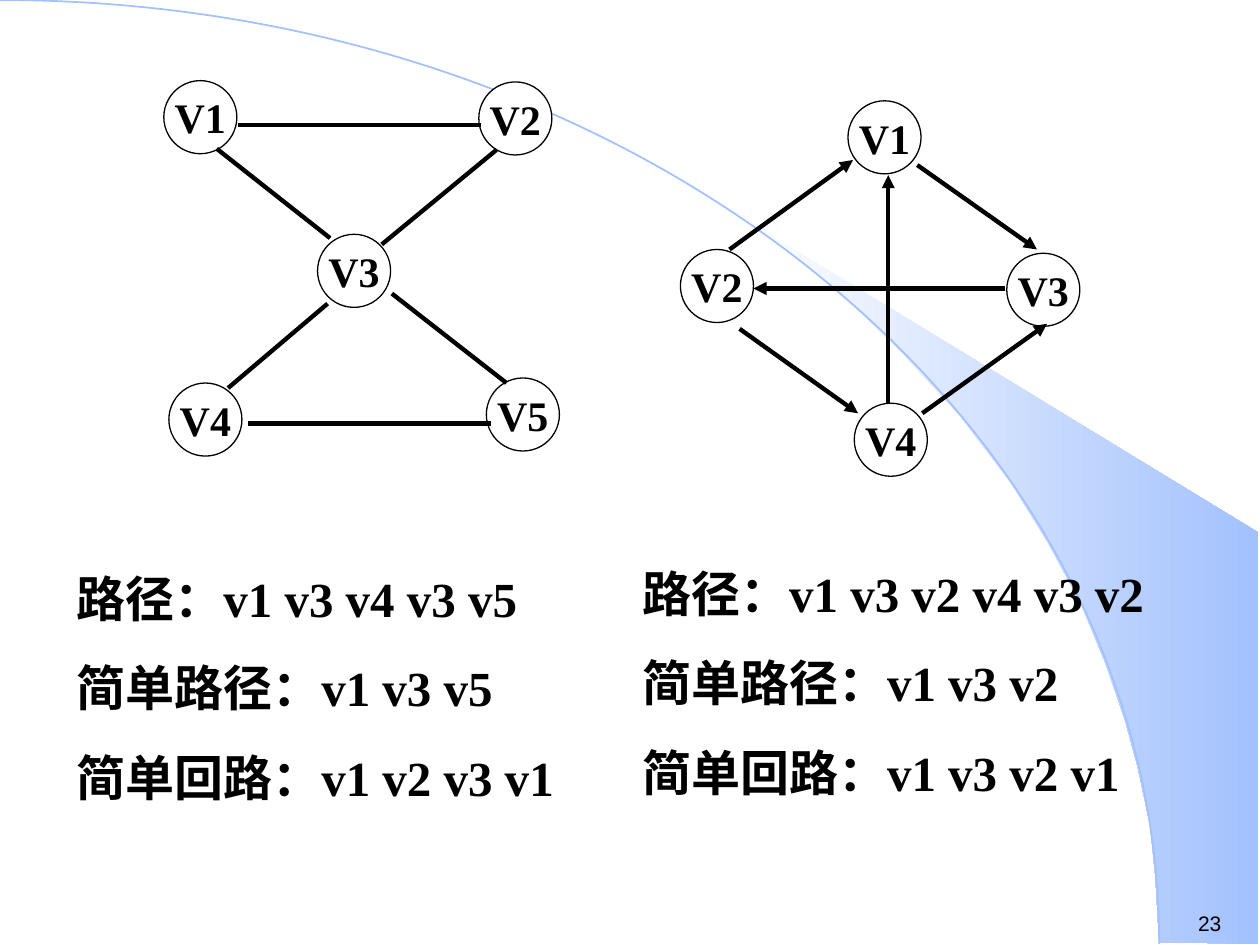
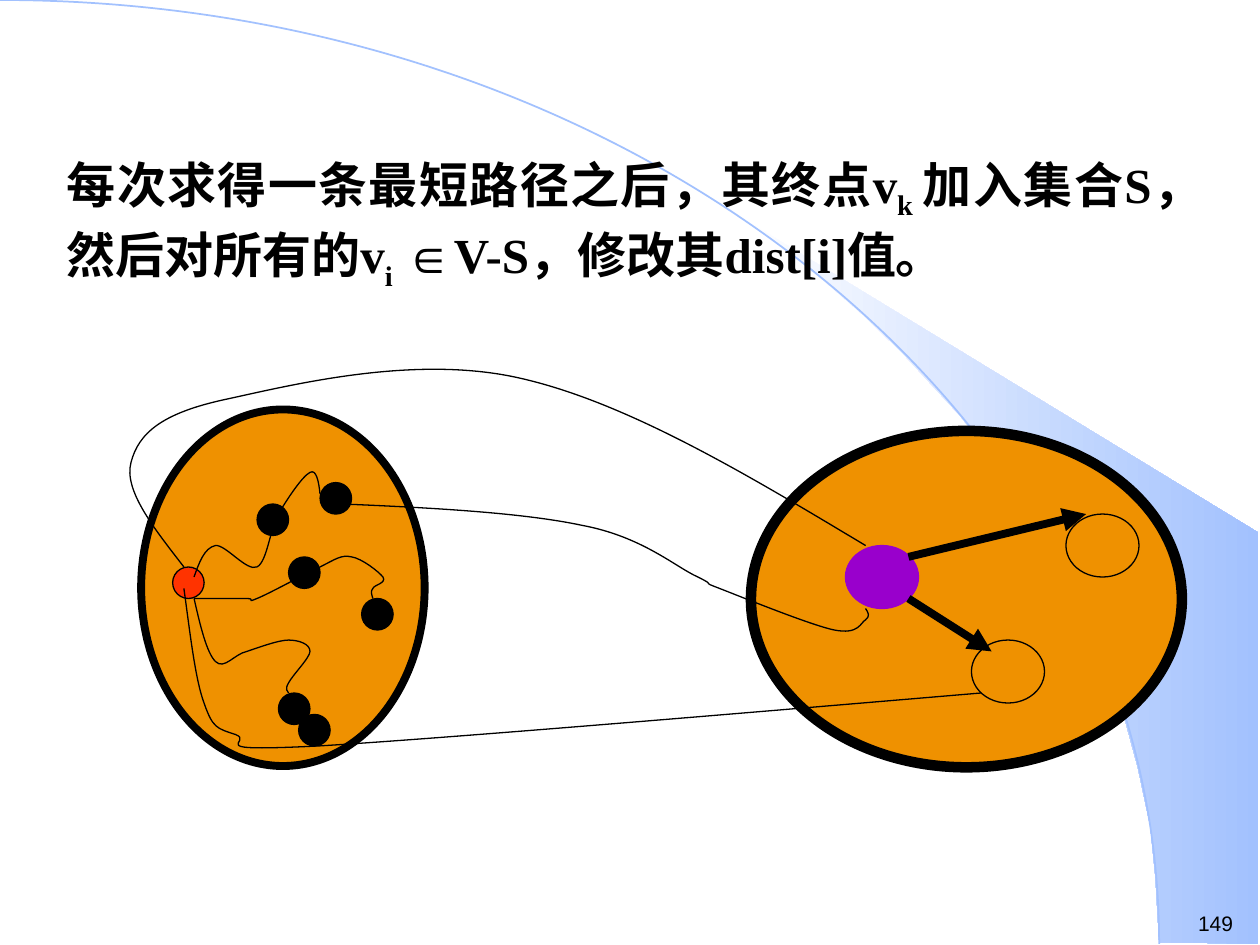
from dataclasses import dataclass

import pptx
import pptx.util
import pptx.dml.color
import pptx.enum.shapes
import pptx.enum.text
import pptx.oxml.ns

Inches = pptx.util.Inches
Pt = pptx.util.Pt
SHAPE = pptx.enum.shapes.MSO_SHAPE
ALIGN = pptx.enum.text.PP_ALIGN
ANCHOR = pptx.enum.text.MSO_ANCHOR
AUTO_SIZE = pptx.enum.text.MSO_AUTO_SIZE
qn = pptx.oxml.ns.qn


@dataclass(frozen=True)
class Theme:
    ink: str = "000000"
    paper: str = "FFFFFF"
    sky: str = "A2C1FE"
    region: str = "EF9100"
    source: str = "FF3300"
    added: str = "9900CC"
    serif: str = "Times New Roman"
    sans: str = "Arial"
    body_size: int = 28
    node_size: int = 24
    number_size: int = 12
    thin: float = 0.75
    edge: float = 2.5
    heavy: float = 4.5
    heaviest: float = 6


THEME = Theme()
NODE = 0.58
DOT = 0.25

SWOOSH = [(9.2, 7.48), (9.99, 7.49), (9.99, 4.23), (5.89, 1.73), (6.24, 1.99),
          (6.53, 2.22), (6.85, 2.5), (7.16, 2.8), (7.62, 3.3), (8.03, 3.84),
          (8.32, 4.31), (8.58, 4.79), (8.78, 5.28), (8.93, 5.72), (9.03, 6.09),
          (9.13, 6.56), (9.17, 6.96)]
ARC = [(0, 0), (5.08, 0), (9.2, 3.35), (9.2, 7.49)]

UNDIRECTED_NODES = [("V5", 3.86, 3), ("V4", 1.34, 3.04), ("V2", 3.8, 0.65),
                    ("V1", 1.3, 0.64), ("V3", 2.52, 1.86)]
UNDIRECTED_EDGES = [
    ((1.89, 0.99), (3.82, 0.99)), ((1.97, 3.36), (3.9, 3.36)),
    ((1.81, 3.08), (2.6, 2.41)), ((3.11, 2.33), (4.02, 3.04)),
    ((1.72, 1.18), (2.62, 1.89)), ((3.03, 1.94), (3.94, 1.19)),
]
DIRECTED_NODES = [("V1", 6.73, 0.8), ("V2", 5.4, 1.98),
                  ("V3", 7.99, 2.01), ("V4", 6.78, 3.2)]
DIRECTED_DIAGONALS = [((7.05, 3.2), (7.05, 1.39)), ((7.98, 2.29), (5.98, 2.29))]
DIRECTED_SIDES = [
    ((7.28, 1.31), (8.23, 1.98)), ((5.87, 2.61), (6.81, 3.28)),
    ((5.79, 1.98), (6.77, 1.27)), ((7.32, 3.28), (8.31, 2.57)),
]

SETTLED_VERTICES = [(2.87, 4.75), (2.21, 5.5), (2.54, 3.83),
                    (2.29, 4.42), (2.04, 4), (2.37, 5.67)]
SHORTEST_PATHS = [
    [(1.54, 4.58), (1.58, 4.47), (1.62, 4.35), (1.71, 4.33), (1.79, 4.32),
     (1.96, 4.54), (2.04, 4.5), (2.12, 4.46), (2.14, 4.21), (2.21, 4.08),
     (2.28, 3.96), (2.4, 3.78), (2.46, 3.75), (2.51, 3.72), (2.53, 3.82),
     (2.54, 3.92)],
    [(1.54, 4.75), (1.59, 4.97), (1.64, 5.18), (1.71, 5.25), (1.78, 5.32),
     (1.86, 5.19), (1.96, 5.17), (2.05, 5.14), (2.21, 5.08), (2.29, 5.08),
     (2.37, 5.08), (2.46, 5.11), (2.46, 5.17), (2.46, 5.22), (2.32, 5.36),
     (2.29, 5.42), (2.26, 5.47), (2.28, 5.49), (2.29, 5.5)],
    [(1.54, 4.75), (1.71, 4.75), (1.87, 4.75), (1.96, 4.75), (2.04, 4.75),
     (1.94, 4.79), (2.04, 4.75), (2.14, 4.71), (2.41, 4.56), (2.54, 4.5),
     (2.66, 4.44), (2.71, 4.4), (2.79, 4.42), (2.87, 4.43), (3.01, 4.54),
     (3.04, 4.58), (3.07, 4.63), (2.97, 4.64), (2.96, 4.67), (2.94, 4.69),
     (2.95, 4.72), (2.96, 4.75)],
    [(1.46, 4.5), (1.22, 4.19), (0.98, 3.89), (1.04, 3.67), (1.1, 3.44),
     (1.28, 3.28), (1.79, 3.17), (2.3, 3.06), (3.28, 2.81), (4.12, 3),
     (4.97, 3.19), (5.92, 3.76), (6.87, 4.33)],
    [(2.71, 4), (3.43, 4.03), (4.15, 4.07), (4.62, 4.17), (5.1, 4.26),
     (5.36, 4.5), (5.54, 4.58), (5.72, 4.67), (5.53, 4.6), (5.71, 4.67),
     (5.89, 4.74), (6.43, 4.96), (6.62, 5), (6.82, 5.04), (6.83, 4.94),
     (6.87, 4.92), (6.91, 4.89), (6.89, 4.86), (6.87, 4.83)],
    [(1.46, 4.67), (1.51, 5.03), (1.55, 5.39), (1.62, 5.58), (1.69, 5.78),
     (1.72, 5.78), (1.87, 5.83), (2.03, 5.89), (1.55, 5.97), (2.54, 5.92),
     (3.53, 5.86), (5.66, 5.68), (7.79, 5.5)],
]
RELAXATIONS = [((7.21, 4.42), (8.62, 4.08)), ((7.21, 4.75), (7.87, 5.17))]


def rgb(value):
    return pptx.dml.color.RGBColor.from_string(value)


def add_child(parent, tag, **attributes):
    child = parent.makeelement(qn(tag), attributes)
    parent.append(child)
    return child


def style_font(font, size, name=THEME.serif, bold=True):
    font.name, font.size, font.bold = name, Pt(size), bold
    font.color.rgb = rgb(THEME.ink)


def style_line(line, color, width):
    line.color.rgb = rgb(color)
    line.width = Pt(width)


def add_freeform(slide, points, closed=False):
    start, *rest = [(Inches(x), Inches(y)) for x, y in points]
    builder = slide.shapes.build_freeform(*start)
    builder.add_line_segments(rest, close=closed)
    outline = builder.convert_to_shape()
    outline.shadow.inherit = False
    return outline


def add_curve(slide, knots, color=THEME.ink, width=THEME.thin):
    curve = add_freeform(slide, knots)
    outline = next(curve.element.iter(qn("a:path")))
    segments = outline.findall(qn("a:lnTo"))
    for i in range(0, len(segments), 3):
        bezier = add_child(outline, "a:cubicBezTo")
        for segment in segments[i:i + 3]:
            bezier.append(segment[0])
            outline.remove(segment)
    curve.fill.background()
    style_line(curve.line, color, width)
    return curve


def add_edge(slide, start, end, width=THEME.edge, arrow=False):
    edge = slide.shapes.add_connector(
        pptx.enum.shapes.MSO_CONNECTOR.STRAIGHT,
        *(Inches(v) for v in start + end))
    style_line(edge.line, THEME.ink, width)
    properties = edge.element.spPr
    if arrow:
        add_child(properties.find(qn("a:ln")), "a:tailEnd", type="triangle")
    add_child(properties, "a:effectLst")
    return edge


def add_round(slide, box, fill, line=THEME.ink, width=THEME.thin, kind=SHAPE.OVAL):
    disc = slide.shapes.add_shape(kind, *(Inches(v) for v in box))
    disc.shadow.inherit = False
    disc.fill.solid()
    disc.fill.fore_color.rgb = rgb(fill)
    style_line(disc.line, line, width)
    return disc


def add_node(slide, label, left, top):
    node = add_round(slide, (left, top, NODE, NODE), THEME.paper,
                     kind=SHAPE.FLOWCHART_CONNECTOR)
    frame = node.text_frame
    frame.word_wrap = False
    frame.vertical_anchor = ANCHOR.MIDDLE
    paragraph = frame.paragraphs[0]
    paragraph.text = label
    paragraph.alignment = ALIGN.CENTER
    style_font(paragraph.font, THEME.node_size)
    return node


def add_text(slide, box, lines, size, name=THEME.serif, bold=True):
    frame = slide.shapes.add_textbox(*(Inches(v) for v in box)).text_frame
    frame.word_wrap = True
    frame.text = "\n".join(lines)
    for index, paragraph in enumerate(frame.paragraphs):
        paragraph.space_before = Pt(17.5 if index else 0)
        style_font(paragraph.font, size, name, bold)


def add_slide_number(slide, number):
    add_text(slide, (9.41, 7.18, 0.59, 0.3), [number],
             THEME.number_size, THEME.sans, False)


def add_master_backdrop(prs, slide):
    swoosh = add_freeform(slide, SWOOSH, closed=True)
    swoosh.fill.gradient()
    swoosh.fill.gradient_angle = 0
    for stop, color in zip(swoosh.fill.gradient_stops, (THEME.paper, THEME.sky)):
        stop.color.rgb = rgb(color)
    swoosh.line.fill.background()
    arc = add_curve(slide, ARC, THEME.sky, 1)
    backdrop = slide.shapes.add_group_shape([swoosh, arc])
    prs.slide_master.shapes.element.append(backdrop.element)


def fill_statement(slide):
    title, body = slide.placeholders
    title.element.getparent().remove(title.element)
    body.left, body.top, body.width, body.height = (
        Inches(v) for v in (0.43, 1.15, 9.21, 1.22))
    frame = body.text_frame
    frame.word_wrap = True
    frame.auto_size = AUTO_SIZE.NONE
    paragraph = frame.paragraphs[0]
    paragraph.alignment = ALIGN.JUSTIFY
    paragraph.line_spacing = 1.05
    paragraph.space_before = Pt(0)
    properties = paragraph._p.get_or_add_pPr()
    properties.set("marL", "0")
    properties.set("indent", "0")
    add_child(properties, "a:buNone")
    style_font(paragraph.font, THEME.body_size)
    for text, subscript in (("每次求得一条最短路径之后，其终点v", False), ("k ", True),
                            ("加入集合S，然后对所有的v", False), ("i", True), (" ", False),
                            ("∈", False), ("V-S，修改其dist[i]值。", False)):
        run = paragraph.add_run()
        run.text = text
        if subscript:
            run._r.get_or_add_rPr().set("baseline", "-25000")
        if text == "∈":
            run.font.name = THEME.sans


def draw_paths_slide(slide):
    graphs = [add_edge(slide, *ends, arrow=True) for ends in DIRECTED_DIAGONALS]
    graphs += [add_node(slide, *node) for node in UNDIRECTED_NODES]
    graphs += [add_edge(slide, *ends) for ends in UNDIRECTED_EDGES]
    graphs += [add_node(slide, *node) for node in DIRECTED_NODES]
    graphs += [add_edge(slide, *ends, arrow=True) for ends in DIRECTED_SIDES]
    slide.shapes.add_group_shape(graphs)
    add_text(slide, (0.51, 4.46, 4.29, 1.99),
             ["路径：v1 v3 v4 v3 v5", "简单路径：v1 v3 v5", "简单回路：v1 v2 v3 v1"],
             THEME.body_size)
    add_text(slide, (5, 4.42, 4.41, 1.99),
             ["路径：v1 v3 v2 v4 v3 v2", "简单路径：v1 v3 v2", "简单回路：v1 v3 v2 v1"],
             THEME.body_size)
    add_slide_number(slide, "23")


def draw_shortest_path_slide(slide):
    fill_statement(slide)
    diagram = [
        add_round(slide, (1.12, 3.25, 2.25, 2.83), THEME.region, width=THEME.heavy),
        add_round(slide, (5.96, 3.42, 3.42, 2.67), THEME.region, width=THEME.heaviest),
        add_round(slide, (1.37, 4.5, DOT, DOT), THEME.source),
    ]
    diagram += [add_round(slide, (left, top, DOT, DOT), THEME.ink)
                for left, top in SETTLED_VERTICES]
    diagram += [add_round(slide, (left, top, NODE, 0.5), THEME.region)
                for left, top in ((7.71, 5.08), (8.46, 4.08))]
    diagram += [add_curve(slide, knots) for knots in SHORTEST_PATHS]
    diagram.append(add_round(slide, (6.71, 4.33, NODE, 0.5), THEME.added, THEME.added))
    diagram += [add_edge(slide, *ends, THEME.heavy, arrow=True) for ends in RELAXATIONS]
    slide.shapes.add_group_shape(diagram)
    add_slide_number(slide, "149")


def main():
    prs = pptx.Presentation()
    prs.slide_width, prs.slide_height = Inches(10), Inches(7.5)
    content_layout, blank_layout = prs.slide_layouts[1], prs.slide_layouts[6]
    paths_slide = prs.slides.add_slide(blank_layout)
    add_master_backdrop(prs, paths_slide)
    draw_paths_slide(paths_slide)
    draw_shortest_path_slide(prs.slides.add_slide(content_layout))
    prs.save("out.pptx")


if __name__ == "__main__":
    main()
